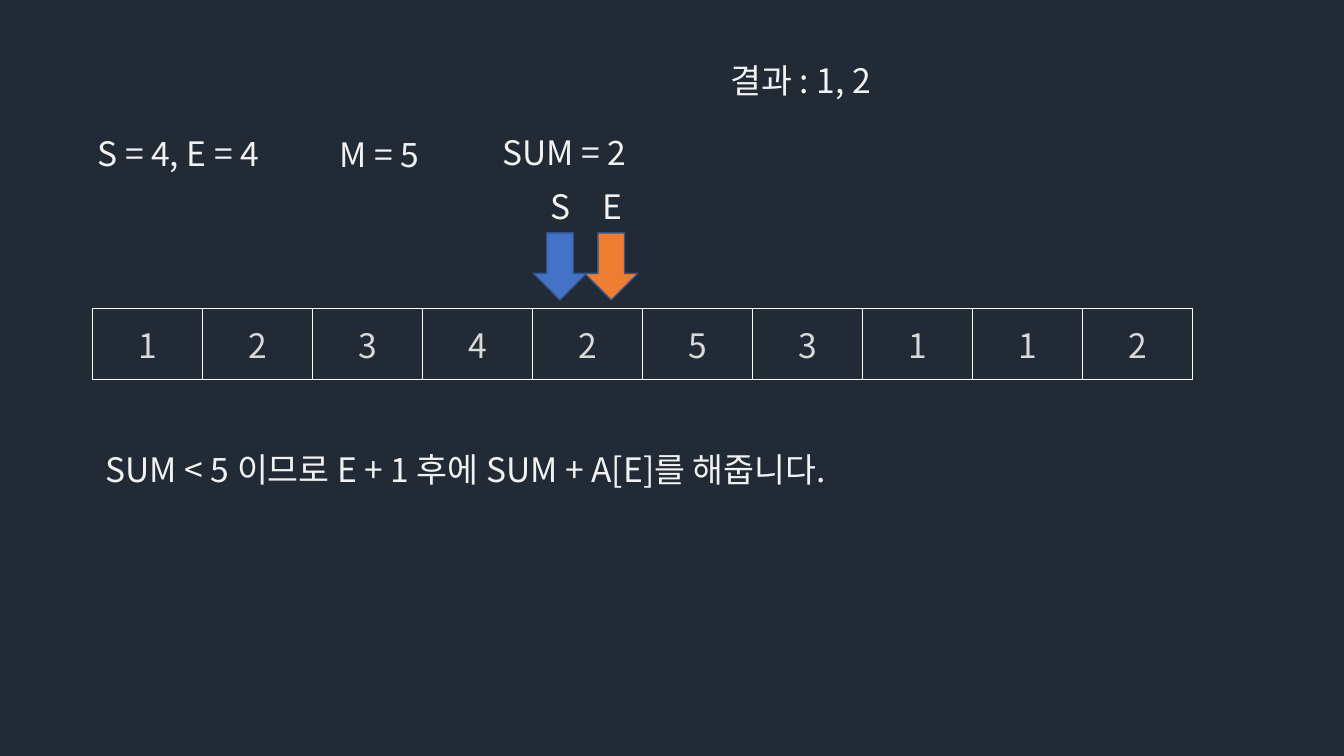
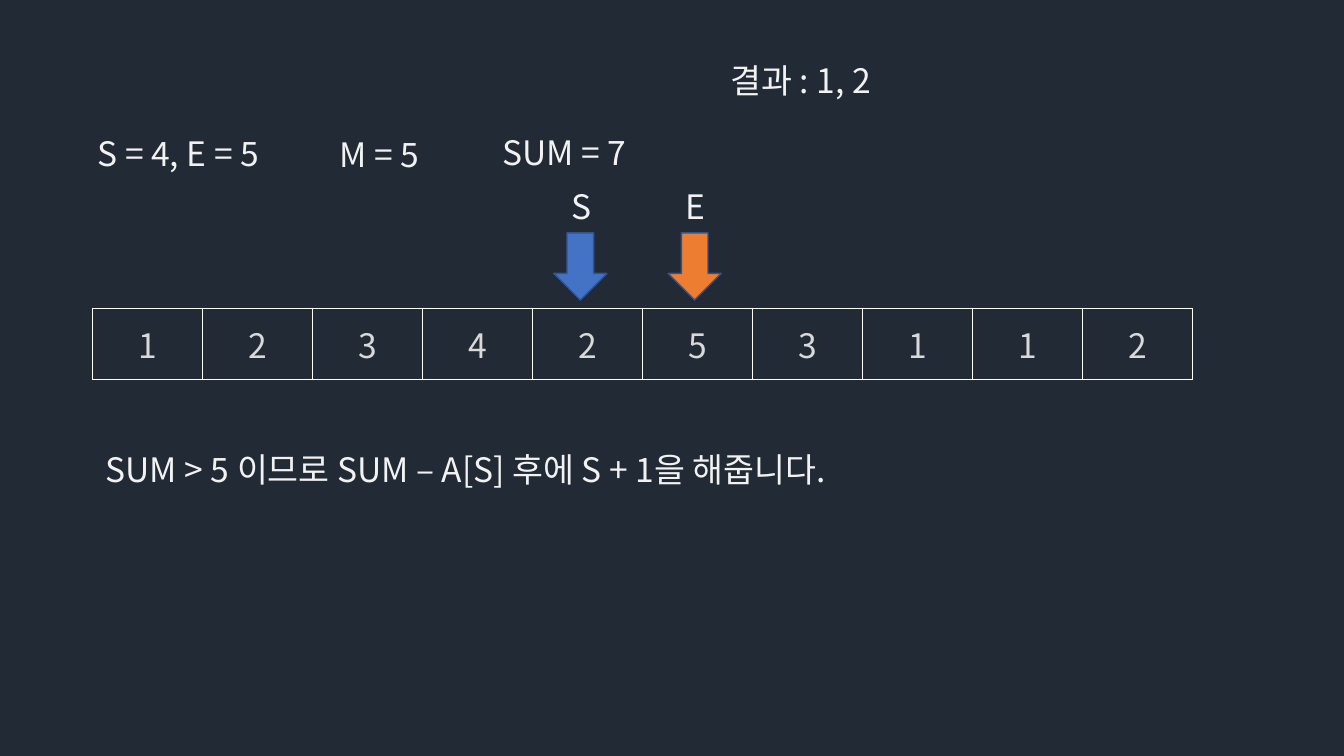
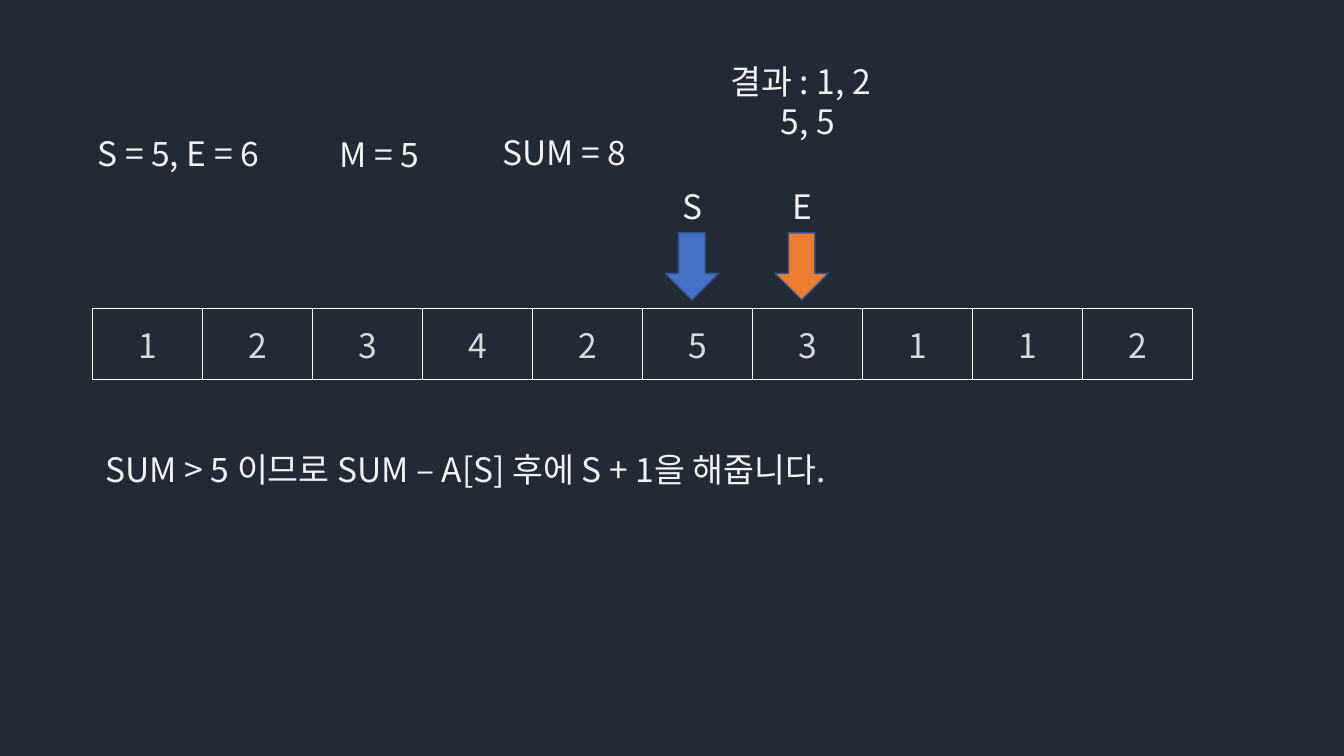
from lxml.etree import SubElement
from pptx import Presentation
from pptx.dml.color import RGBColor
from pptx.enum.shapes import MSO_SHAPE
from pptx.enum.text import MSO_ANCHOR, MSO_AUTO_SIZE, PP_ALIGN
from pptx.oxml.ns import qn
from pptx.util import Pt

NAVY = RGBColor(0x22, 0x2A, 0x35)
BLUE = RGBColor(0x44, 0x72, 0xC4)
ORANGE = RGBColor(0xED, 0x7D, 0x31)
OUTLINE = RGBColor(0x32, 0x54, 0x91)
WHITE = RGBColor(0xFF, 0xFF, 0xFF)
TEXT = RGBColor(0xF2, 0xF2, 0xF2)
CELL_TEXT = RGBColor(0xD9, 0xD9, 0xD9)

NUMBERS = [1, 2, 3, 4, 2, 5, 3, 1, 1, 2]
SHRINK = "SUM > 5 이므로 SUM – A[S] 후에 S + 1을 해줍니다."
STEPS = [
    {"start": 4, "end": 4, "total": 2, "start_left": 381, "end_left": 417.6,
     "results": ["1, 2"],
     "note": "SUM < 5 이므로 E + 1 후에 SUM + A[E]를 해줍니다."},
    {"start": 4, "end": 5, "total": 7, "start_left": 395.5, "end_left": 477.2,
     "results": ["1, 2"], "note": SHRINK},
    {"start": 5, "end": 6, "total": 8, "start_left": 475.2, "end_left": 553.6,
     "results": ["1, 2", "5, 5"], "note": SHRINK},
]


class ArrayDeck:
    font_name = "Noto Sans CJK KR"
    font_size = Pt(24)
    line_height = 29.5

    def __init__(self):
        self.deck = Presentation()
        self.deck.slide_width = Pt(960)
        self.deck.slide_height = Pt(540)
        fill = self.deck.slide_master.background.fill
        fill.solid()
        fill.fore_color.rgb = NAVY
        self.page = None

    def new_page(self):
        self.page = self.deck.slides.add_slide(self.deck.slide_layouts[6])

    def style(self, frame, color):
        for para in frame.paragraphs:
            for span in para.runs:
                span.font.size = self.font_size
                span.font.name = self.font_name
                span.font.color.rgb = color
                properties = span.font._element
                SubElement(properties, qn("a:ea"), typeface=self.font_name)

    def text(self, text, left, top, width):
        height = 36 + self.line_height * text.count("\n")
        box = self.page.shapes.add_textbox(Pt(left), Pt(top), Pt(width), Pt(height))
        frame = box.text_frame
        frame.word_wrap = True
        frame.auto_size = MSO_AUTO_SIZE.SHAPE_TO_FIT_TEXT
        frame.text = text
        self.style(frame, TEXT)

    def pointer(self, label, left, color):
        arrow = self.page.shapes.add_shape(
            MSO_SHAPE.DOWN_ARROW, Pt(left), Pt(166.3), Pt(38), Pt(48))
        arrow.shadow.inherit = False
        arrow.fill.solid()
        arrow.fill.fore_color.rgb = color
        arrow.line.color.rgb = OUTLINE
        arrow.line.width = Pt(1)
        self.text(label, left + 5.5, 129.25, 28)

    def border(self, cell):
        properties = cell._tc.get_or_add_tcPr()
        for side in ("a:lnL", "a:lnR", "a:lnT", "a:lnB"):
            line = SubElement(properties, qn(side), w=str(Pt(1)))
            fill = SubElement(line, qn("a:solidFill"))
            SubElement(fill, qn("a:srgbClr"), val=str(WHITE))

    def array(self, numbers, left, top, cell_width, height):
        table = self.page.shapes.add_table(
            1, len(numbers), Pt(left), Pt(top),
            Pt(cell_width * len(numbers)), Pt(height)).table
        table.first_row = False
        table.horz_banding = False
        for column, number in enumerate(numbers):
            table.columns[column].width = Pt(cell_width)
            cell = table.cell(0, column)
            self.border(cell)
            cell.fill.background()
            cell.vertical_anchor = MSO_ANCHOR.MIDDLE
            cell.text_frame.text = str(number)
            cell.text_frame.paragraphs[0].alignment = PP_ALIGN.CENTER
            self.style(cell.text_frame, CELL_TEXT)

    def step(self, start, end, total, start_left, end_left, results, note):
        self.new_page()
        self.text(f"S = {start}, E = {end}", 62.6, 91.4, 189)
        self.pointer("S", start_left, BLUE)
        self.pointer("E", end_left, ORANGE)
        self.text(f"SUM = {total}", 352, 90.7, 125)
        self.text("M = 5", 235.4, 92.2, 125)
        self.text("결과 : " + "\n\t".join(results), 514.8, 39.6, 338)
        self.array(NUMBERS, 66.2, 220.3, 78.6, 51)
        self.text(note, 68.4, 316.8, 784)


def main():
    array_deck = ArrayDeck()
    for step in STEPS:
        array_deck.step(**step)
    array_deck.deck.save("out.pptx")


if __name__ == "__main__":
    main()
